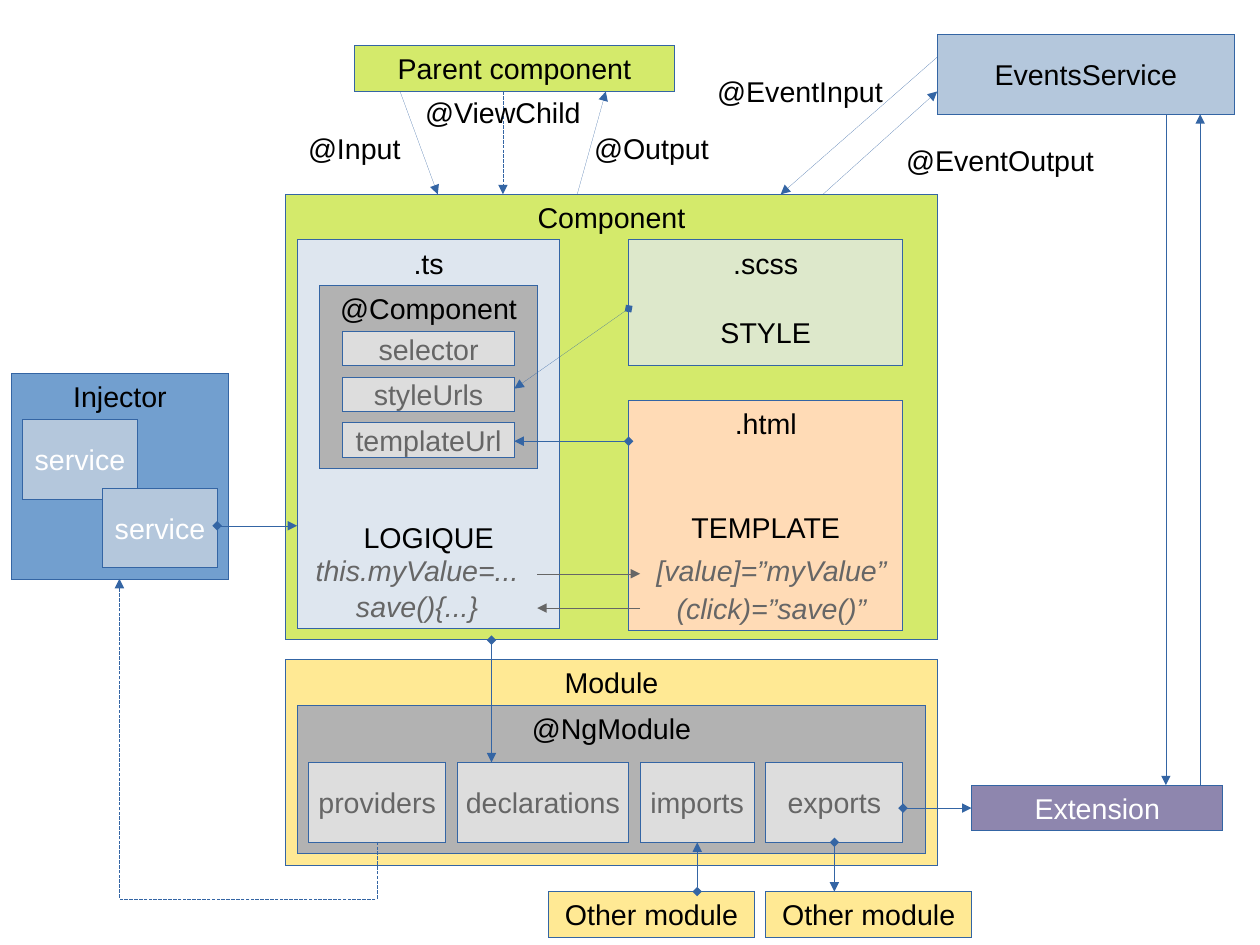
"""Draw the architecture of a component-based web application."""

from dataclasses import dataclass

from lxml.etree import SubElement
from pptx import Presentation
from pptx.dml.color import RGBColor
from pptx.enum.dml import MSO_LINE_DASH_STYLE as Dash
from pptx.enum.shapes import MSO_CONNECTOR as Link, MSO_SHAPE as Preset
from pptx.enum.text import MSO_ANCHOR as Anchor, PP_ALIGN as Align
from pptx.oxml.ns import qn
from pptx.util import Inches, Pt


@dataclass(frozen=True)
class Theme:
    """Colours and type of the diagram."""

    font: str = "Arial"
    size: int = 18
    black: str = "000000"
    white: str = "FFFFFF"
    grey: str = "666666"
    outline: str = "3465A4"
    lime: str = "D4EA6B"
    yellow: str = "FFE994"
    blue: str = "729FCF"
    soft_blue: str = "B4C7DC"
    pale_blue: str = "DEE6EF"
    green: str = "DDE8CB"
    peach: str = "FFDBB6"
    purple: str = "8E86AE"
    decorator: str = "B2B2B2"
    field: str = "DDDDDD"


THEME = Theme()


@dataclass(frozen=True)
class Block:
    """A filled rectangle with a title and an optional role below it."""

    left: float
    top: float
    width: float
    height: float
    title: str
    fill: str
    color: str = THEME.black
    middle: bool = False
    role: str = ""
    role_gap: float = 0


@dataclass(frozen=True)
class Label:
    """A free text on the page."""

    left: float
    top: float
    width: float
    text: str
    code: bool = False


@dataclass(frozen=True)
class Arrow:
    """A straight arrow between two points."""

    start: tuple[float, float]
    end: tuple[float, float]
    diamond: bool = False
    color: str = THEME.outline
    dashed: bool = False


def field(left: float, top: float, width: float, height: float, title: str) -> Block:
    """Describe a metadata field of a decorator."""
    return Block(left, top, width, height, title, THEME.field, THEME.grey, True)


def service(left: float, top: float) -> Block:
    """Describe an injectable service."""
    return Block(left, top, 1, 0.7, "service", THEME.soft_blue, THEME.white, True)


BLOCKS = [
    Block(3.1, 0.4, 2.8, 0.4, "Parent component", THEME.lime),
    Block(8.2, 0.3, 2.6, 0.7, "EventsService", THEME.soft_blue, middle=True),
    Block(2.5, 1.7, 5.7, 3.9, "Component", THEME.lime),
    Block(2.6, 2.1, 2.3, 3.4, ".ts", THEME.pale_blue, role="LOGIQUE", role_gap=151),
    Block(2.8, 2.5, 1.9, 1.6, "@Component", THEME.decorator),
    *(field(3, 2.9 + 0.4 * row, 1.5, 0.3, name)
      for row, name in enumerate(("selector", "styleUrls", "templateUrl"))),
    Block(5.5, 2.1, 2.4, 1.1, ".scss", THEME.green, role="STYLE", role_gap=22),
    Block(5.5, 3.5, 2.4, 2.02, ".html", THEME.peach, role="TEMPLATE", role_gap=44),
    Block(0.1, 3.27, 1.9, 1.8, "Injector", THEME.blue),
    service(0.2, 3.67),
    service(0.9, 4.27),
    Block(2.5, 5.77, 5.7, 1.8, "Module", THEME.yellow),
    Block(2.6, 6.17, 5.5, 1.3, "@NgModule", THEME.decorator),
    *(field(left, 6.67, width, 0.7, name) for left, width, name in (
        (2.7, 1.2, "providers"), (4, 1.5, "declarations"),
        (5.6, 1, "imports"), (6.7, 1.2, "exports"))),
    *(Block(left, 7.8, 1.8, 0.4, "Other module", THEME.yellow) for left in (4.8, 6.7)),
    Block(8.5, 6.87, 2.2, 0.4, "Extension", THEME.purple, THEME.white),
]

ARROWS = [
    Arrow((3.5, 0.8), (3.83, 1.7)),
    Arrow((4.4, 0.8), (4.4, 1.7), dashed=True),
    Arrow((5.05, 1.7), (5.3, 0.8)),
    Arrow((8.2, 0.5), (6.83, 1.7)),
    Arrow((7.2, 1.7), (8.2, 0.8)),
    Arrow((10.2, 1), (10.2, 6.87)),
    Arrow((10.5, 6.87), (10.5, 1)),
    Arrow((4.3, 5.6), (4.3, 6.67), diamond=True),
    Arrow((7.9, 7.07), (8.5, 7.07), diamond=True),
    Arrow((7.3, 7.37), (7.3, 7.8), diamond=True),
    Arrow((6.1, 7.8), (6.1, 7.37), diamond=True),
    Arrow((1.9, 4.6), (2.6, 4.6), diamond=True),
    Arrow((5.5, 2.7), (4.5, 3.4), diamond=True),
    Arrow((5.5, 3.86), (4.5, 3.86), diamond=True),
    Arrow((4.7, 5.02), (5.6, 5.02), color=THEME.grey),
    Arrow((5.6, 5.32), (4.7, 5.32), color=THEME.grey),
]

LABELS = [
    Label(2.5, 1.1, 1.2, "@Input"),
    Label(3.8, 0.78, 1.2, "@ViewChild"),
    Label(5.1, 1.1, 1.2, "@Output"),
    Label(6.4, 0.6, 1.2, "@EventInput"),
    Label(7.8, 1.2, 1.9, "@EventOutput"),
    Label(1.6, 4.79, 4.1, "this.myValue=...", True),
    Label(1.6, 5.1, 4.1, "save(){...}", True),
    Label(4.7, 4.79, 4.1, "[value]=”myValue”", True),
    Label(4.7, 5.12, 4.1, "(click)=”save()”", True),
]


def write(frame, lines: list[str], color: str, middle: bool, italic: bool = False) -> None:
    """Fill a text frame with centred lines."""
    frame.text = "\n".join(lines)
    frame.word_wrap = False
    frame.vertical_anchor = Anchor.MIDDLE if middle else Anchor.TOP
    for para in frame.paragraphs:
        para.alignment = Align.CENTER
        for span in para.runs:
            span.font.name, span.font.size = THEME.font, Pt(THEME.size)
            span.font.color.rgb = RGBColor.from_string(color)
            span.font.italic = italic


def hairline(shape, color: str):
    """Give a shape the thinnest line and return the line element."""
    shape.line.color.rgb = RGBColor.from_string(color)
    line = shape.element.spPr.find(qn("a:ln"))
    line.set("w", "0")
    return line


def add_box(page, area: Block | Label, height: float):
    """Add a rectangle without shadow."""
    box = page.shapes.add_shape(Preset.RECTANGLE, Inches(area.left), Inches(area.top),
                                Inches(area.width), Inches(height))
    box.shadow.inherit = False
    return box


def draw_block(page, block: Block) -> None:
    """Draw a titled rectangle."""
    box = add_box(page, block, block.height)
    box.fill.solid()
    box.fill.fore_color.rgb = RGBColor.from_string(block.fill)
    hairline(box, THEME.outline)
    lines = [block.title, block.role] if block.role else [block.title]
    write(box.text_frame, lines, block.color, block.middle)
    if block.role:
        box.text_frame.paragraphs[1].space_before = Pt(block.role_gap)


def draw_arrow(page, arrow: Arrow, kind: Link = Link.STRAIGHT):
    """Draw an arrow and return its connector."""
    points = [Inches(value) for value in (*arrow.start, *arrow.end)]
    connector = page.shapes.add_connector(kind, *points)
    line = hairline(connector, arrow.color)
    if arrow.dashed:
        connector.line.dash_style = Dash.SQUARE_DOT
    if arrow.diamond:
        SubElement(line, qn("a:headEnd"), type="diamond")
    SubElement(line, qn("a:tailEnd"), type="triangle")
    SubElement(connector.element.spPr, qn("a:effectLst"))
    return connector


def draw_provider_route(page) -> None:
    """Draw the dashed elbow from the providers to the injector."""
    route = Arrow((1.02, 7.34), (3.32, 5.09), dashed=True)
    properties = draw_arrow(page, route, Link.ELBOW).element.spPr
    properties.find(qn("a:xfrm")).set("rot", "16200000")
    guides = properties.find(qn("a:prstGeom")).find(qn("a:avLst"))
    SubElement(guides, qn("a:gd"), name="adj1", fmla="val -21700")


def draw_label(page, label: Label) -> None:
    """Draw a free text that stays on one line."""
    box = add_box(page, label, 0.4)
    box.fill.background()
    box.line.fill.background()
    color = THEME.grey if label.code else THEME.black
    write(box.text_frame, [label.text], color, True, label.code)


def main() -> None:
    """Build and save the deck."""
    deck = Presentation()
    deck.slide_width = Inches(28 / 2.54)
    deck.slide_height = Inches(21 / 2.54)
    page = deck.slides.add_slide(deck.slide_layouts[6])
    for block in BLOCKS:
        draw_block(page, block)
    for arrow in ARROWS:
        draw_arrow(page, arrow)
    draw_provider_route(page)
    for label in LABELS:
        draw_label(page, label)
    deck.save("out.pptx")


if __name__ == "__main__":
    main()
